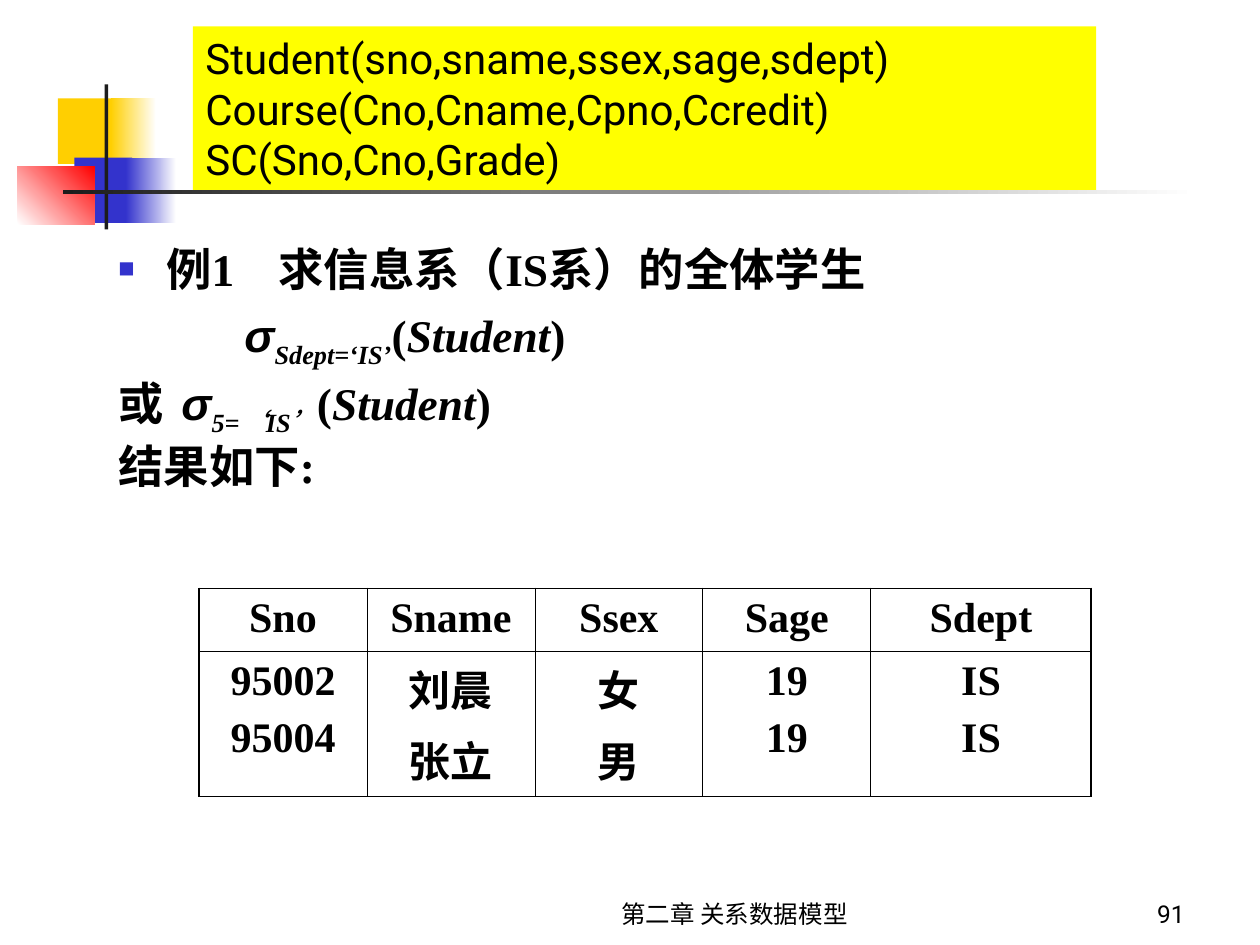
from dataclasses import dataclass
from typing import Optional

from lxml.etree import SubElement
from pptx import Presentation
from pptx.dml.color import RGBColor
from pptx.enum.shapes import MSO_SHAPE as Preset
from pptx.enum.text import MSO_ANCHOR as Anchor, MSO_AUTO_SIZE as AutoSize, PP_ALIGN as Align
from pptx.oxml.ns import qn
from pptx.util import Emu, Inches, Pt

COLUMNS, ROWS = 100, 75
SLIDE_WIDTH, SLIDE_HEIGHT = Inches(10), Inches(7.5)
SERIF, SANS, SYMBOL = "Times New Roman", "Roboto", "Arial"
BLACK, WHITE, YELLOW = "000000", "FFFFFF", "FFFF00"
GOLD, BLUE, RED, CHARCOAL = "FFCF01", "3333CC", "FF0000", "1C1C1C"


@dataclass(frozen=True)
class Box:
    column: float
    row: float
    width: float
    height: float


@dataclass(frozen=True)
class Block:
    box: Box
    start: str
    end: Optional[str] = None
    angle: float = 0


@dataclass(frozen=True)
class Piece:
    text: str
    font: str = SERIF
    italic: bool = False
    subscript: bool = False


@dataclass(frozen=True)
class Line:
    pieces: list[Piece]
    margin: float = 0
    tab: Optional[float] = None
    bullet: Optional[str] = None


def formula(condition: str) -> list[Piece]:
    return [Piece("σ", SYMBOL, True), Piece(condition, SERIF, True, True),
            Piece("("), Piece("Student", italic=True), Piece(")")]


BLOCKS = [
    Block(Box(4.6, 7.8, 4.8, 5.2), GOLD),
    Block(Box(8.8, 7.8, 3.6, 5.2), GOLD, WHITE),
    Block(Box(5.9, 12.5, 4.6, 5.2), BLUE),
    Block(Box(10, 12.5, 4, 5.2), BLUE, WHITE),
    Block(Box(1.4, 13.2, 6.1, 4.6), WHITE, RED, 45),
    Block(Box(8.3, 6.7, 0.3, 11.5), CHARCOAL),
    Block(Box(5, 15.1, 90, 0.3), CHARCOAL, WHITE),
]
SCHEMAS = ["Student(sno,sname,ssex,sage,sdept)", "Course(Cno,Cname,Cpno,Ccredit)", "SC(Sno,Cno,Grade)"]
LINES = [
    Line([Piece("例1\t求信息系（IS系）的全体学生")], margin=3.8, tab=12.7, bullet="■"),
    Line(formula("Sdept=‘IS’"), margin=10),
    Line([Piece("或\t"), *formula("5=‘IS’")], tab=10.2),
    Line([Piece("结果如下:")]),
]
STUDENTS = [
    ["Sno", "Sname", "Ssex", "Sage", "Sdept"],
    ["95002\n95004", "刘晨\n张立", "女\n男", "19\n19", "IS\nIS"],
]


def across(columns: float) -> Emu:
    return Emu(round(SLIDE_WIDTH * columns / COLUMNS))


def down(rows: float) -> Emu:
    return Emu(round(SLIDE_HEIGHT * rows / ROWS))


def frame(box: Box) -> tuple[Emu, Emu, Emu, Emu]:
    return across(box.column), down(box.row), across(box.width), down(box.height)


def place(shape, box: Box) -> None:
    shape.left, shape.top, shape.width, shape.height = frame(box)


def paint(fill, color: str) -> None:
    fill.solid()
    fill.fore_color.rgb = RGBColor.from_string(color)


def style(font, name: str, size: float, bold: bool = False, italic: bool = False) -> None:
    font.name, font.size, font.bold, font.italic = name, Pt(size), bold, italic
    font.color.rgb = RGBColor.from_string(BLACK)


def draw_block(slide, block: Block) -> None:
    shape = slide.shapes.add_shape(Preset.RECTANGLE, *frame(block.box))
    shape.shadow.inherit = False
    shape.line.fill.background()
    if block.end is None:
        paint(shape.fill, block.start)
        return
    shape.fill.gradient()
    shape.fill.gradient_angle = block.angle
    for stop, color, position in zip(shape.fill.gradient_stops, (block.start, block.end), (0, 1)):
        stop.color.rgb = RGBColor.from_string(color)
        stop.position = position


def draw_title(title) -> None:
    place(title, Box(15.3, 2.1, 71.7, 13))
    paint(title.fill, YELLOW)
    text_frame = title.text_frame
    text_frame.text = "\n".join(SCHEMAS)
    text_frame.auto_size = AutoSize.NONE
    text_frame.vertical_anchor = Anchor.TOP
    for paragraph in text_frame.paragraphs:
        paragraph.alignment = Align.LEFT
        style(paragraph.runs[0].font, SANS, 24)


def set_layout(paragraph, line: Line) -> None:
    properties = paragraph._p.get_or_add_pPr()
    properties.set("marL", str(across(line.margin)))
    properties.set("indent", str(-across(line.margin) if line.bullet else 0))
    if line.bullet:
        SubElement(SubElement(properties, qn("a:buClr")), qn("a:srgbClr"), val=BLUE)
        SubElement(properties, qn("a:buSzPct"), val="60000")
        SubElement(properties, qn("a:buChar"), char=line.bullet)
    else:
        SubElement(properties, qn("a:buNone"))
    if line.tab:
        stops = SubElement(properties, qn("a:tabLst"))
        SubElement(stops, qn("a:tab"), pos=str(across(line.tab)), algn="l")


def draw_body(body) -> None:
    place(body, Box(8.4, 19.1, 87, 22.9))
    text_frame = body.text_frame
    text_frame.auto_size = AutoSize.NONE
    for index, line in enumerate(LINES):
        paragraph = text_frame.add_paragraph() if index else text_frame.paragraphs[0]
        set_layout(paragraph, line)
        paragraph.line_spacing = 0.9
        paragraph.space_before = Pt(7 if index else 0)
        for piece in line.pieces:
            run = paragraph.add_run()
            run.text = piece.text
            style(run.font, piece.font, 25.9, True, piece.italic)
            if piece.subscript:
                run._r.get_or_add_rPr().set("baseline", "-25000")


def set_border(cell, side: str, width: float) -> None:
    border = SubElement(cell._tc.get_or_add_tcPr(), qn(f"a:{side}"), w=str(Pt(width)))
    SubElement(SubElement(border, qn("a:solidFill")), qn("a:srgbClr"), val=BLACK)


def draw_table(slide) -> None:
    row_count, column_count = len(STUDENTS), len(STUDENTS[0])
    table = slide.shapes.add_table(row_count, column_count, *frame(Box(15.8, 46.7, 70.8, 16))).table
    for column, width in zip(table.columns, [13.33] * 4 + [17.5]):
        column.width = across(width)
    for row, height in zip(table.rows, (5, 11)):
        row.height = down(height)
    for row_index, values in enumerate(STUDENTS):
        for column_index, value in enumerate(values):
            cell = table.cell(row_index, column_index)
            cell.text_frame.text = value
            outer_sides = {"lnL": column_index == 0, "lnR": column_index == column_count - 1,
                           "lnT": row_index == 0, "lnB": row_index == row_count - 1}
            for side, outer in outer_sides.items():
                set_border(cell, side, 1.08 if outer else 0.45)
            cell.fill.background()
            for index, paragraph in enumerate(cell.text_frame.paragraphs):
                paragraph.alignment = Align.CENTER
                paragraph.space_before = Pt(6 if index else 0)
                style(paragraph.runs[0].font, SERIF, 24, True)


def draw_footer(slide, text: str, box: Box, alignment: Align) -> None:
    text_frame = slide.shapes.add_textbox(*frame(box)).text_frame
    text_frame.word_wrap = True
    text_frame.vertical_anchor = Anchor.BOTTOM
    text_frame.text = text
    paragraph = text_frame.paragraphs[0]
    paragraph.alignment = alignment
    style(paragraph.runs[0].font, SANS, 14)


def main() -> None:
    presentation = Presentation()
    presentation.slide_width, presentation.slide_height = SLIDE_WIDTH, SLIDE_HEIGHT
    slide = presentation.slides.add_slide(presentation.slide_layouts[1])
    for block in BLOCKS:
        draw_block(slide, block)
    draw_title(slide.shapes.title)
    draw_body(slide.placeholders[1])
    draw_table(slide)
    draw_footer(slide, "第二章 关系数据模型", Box(38.3, 69.2, 40, 5), Align.CENTER)
    draw_footer(slide, "91", Box(82.5, 69.2, 12.5, 5), Align.RIGHT)
    presentation.save("out.pptx")


if __name__ == "__main__":
    main()
